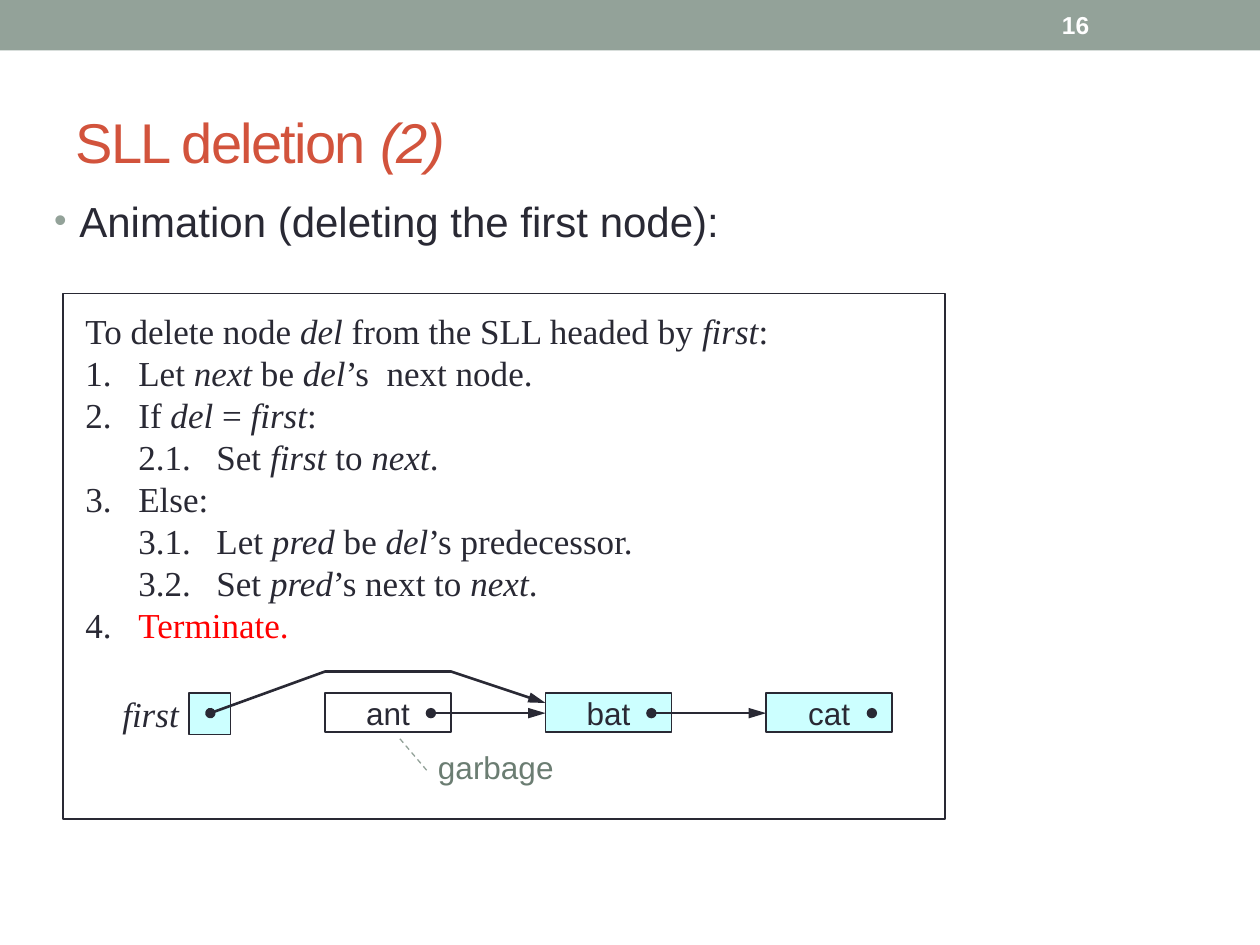
"""Build the slide on deleting the first node of a singly linked list."""
from lxml import etree
from pptx import Presentation
from pptx.dml.color import RGBColor
from pptx.enum.dml import MSO_LINE
from pptx.enum.shapes import MSO_CONNECTOR, MSO_SHAPE
from pptx.enum.text import MSO_ANCHOR, MSO_AUTO_SIZE, PP_ALIGN
from pptx.oxml.ns import qn
from pptx.util import Inches, Pt

RECT = MSO_SHAPE.RECTANGLE
CALLOUT = MSO_SHAPE.LINE_CALLOUT_1_NO_BORDER
STRAIGHT = MSO_CONNECTOR.STRAIGHT
DASH = MSO_LINE.DASH
LEFT, CENTER, RIGHT = PP_ALIGN.LEFT, PP_ALIGN.CENTER, PP_ALIGN.RIGHT
TOP, MIDDLE = MSO_ANCHOR.TOP, MSO_ANCHOR.MIDDLE
SANS, SERIF = "Arial", "Times New Roman"
COLORS = {
    "sage": "93A299",
    "moss": "6B7D72",
    "ink": "292934",
    "white": "FFFFFF",
    "cyan": "CCFFFF",
    "rust": "D2533C",
    "red": "FF0000",
}
ALGORITHM = (
    "To delete node *del* from the SLL headed by *first*:",
    "1.\tLet *next* be *del*’s  next node.",
    "2.\tIf *del* = *first*:",
    "\t2.1.\tSet *first* to *next*.",
    "3.\tElse:",
    "\t3.1.\tLet *pred* be *del*’s predecessor.",
    "\t3.2.\tSet *pred*’s next to *next*.",
    "4.\t",
)
NODE_LEFT, NODE_STEP, NODE_TOP = 2.58, 1.75, 5.5
LINK_Y = 5.66


def rgb(name):
    """Return the named colour."""
    return RGBColor.from_string(COLORS[name])


def place(shape, left, top, width, height):
    """Move and size a shape, in inches."""
    shape.left, shape.top = Inches(left), Inches(top)
    shape.width, shape.height = Inches(width), Inches(height)


def add_runs(paragraph, text, size, font=SANS, color="ink", bold=False, spacing=None):
    """Add text to a paragraph, with the parts between asterisks in italics."""
    for index, part in enumerate(text.split("*")):
        if not part:
            continue
        run = paragraph.add_run()
        run.text = part
        run.font.size, run.font.name = Pt(size), font
        run.font.color.rgb = rgb(color)
        run.font.bold, run.font.italic = bold, index % 2 == 1
        if spacing is not None:
            run.font._element.set("spc", str(round(spacing * 100)))


def write(shape, text, *, align=LEFT, anchor=TOP, inset=(0.1, 0.05), wrap=True,
          line_spacing=None, **run_format):
    """Fill a shape with one formatted paragraph and return the paragraph."""
    frame = shape.text_frame
    frame.auto_size, frame.word_wrap = MSO_AUTO_SIZE.NONE, wrap
    frame.vertical_anchor = anchor
    frame.margin_left = frame.margin_right = Inches(inset[0])
    frame.margin_top = frame.margin_bottom = Inches(inset[1])
    paragraph = frame.paragraphs[0]
    paragraph.alignment, paragraph.space_before = align, Pt(0)
    if line_spacing:
        paragraph.line_spacing = Pt(line_spacing)
    for index, line in enumerate(text.split("\n")):
        if index:
            paragraph.add_line_break()
        add_runs(paragraph, line, **run_format)
    return paragraph


def add_text(slide, bounds, text, **text_format):
    """Add a text box and return its paragraph."""
    box = slide.shapes.add_textbox(*map(Inches, bounds))
    return write(box, text, **text_format)


def add_box(slide, bounds, fill=None, line="ink", kind=RECT):
    """Add a flat shape with an optional fill and outline."""
    box = slide.shapes.add_shape(kind, *map(Inches, bounds))
    box.shadow.inherit = False
    if fill:
        box.fill.solid()
        box.fill.fore_color.rgb = rgb(fill)
    else:
        box.fill.background()
    if line:
        box.line.color.rgb = rgb(line)
        box.line.width = Pt(0.75)
    else:
        box.line.fill.background()
    return box


def style_link(link, arrow=True):
    """Give a link its line, its round start and its arrowhead."""
    link.line.color.rgb, link.line.width = rgb("ink"), Pt(1.5)
    outline = link.line._get_or_add_ln()
    etree.SubElement(outline, qn("a:headEnd"), type="oval")
    if arrow:
        etree.SubElement(outline, qn("a:tailEnd"), type="triangle", len="lg")


def add_link(slide, start, end, arrow=True):
    """Add a horizontal link between nodes."""
    link = slide.shapes.add_connector(
        STRAIGHT, Inches(start), Inches(LINK_Y), Inches(end), Inches(LINK_Y))
    style_link(link, arrow)
    etree.SubElement(link._element.spPr, qn("a:effectLst"))


def add_bent_link(slide, points):
    """Add a link that runs through several points."""
    start, *rest = [(Inches(x), Inches(y)) for x, y in points]
    builder = slide.shapes.build_freeform(*start)
    builder.add_line_segments(rest, close=False)
    link = builder.convert_to_shape()
    link.shadow.inherit = False
    link.fill.background()
    style_link(link)


def set_bullet(paragraph):
    """Give a paragraph a hanging round bullet."""
    properties = paragraph._p.get_or_add_pPr()
    indent = Inches(0.2)
    properties.set("marL", str(indent))
    properties.set("indent", str(-indent))
    color = etree.SubElement(properties, qn("a:buClr"))
    etree.SubElement(color, qn("a:srgbClr"), val=COLORS["sage"])
    etree.SubElement(properties, qn("a:buSzPct"), val="85000")
    etree.SubElement(properties, qn("a:buFont"), typeface=SANS)
    etree.SubElement(properties, qn("a:buChar"), char="•")


def set_tabs(paragraph, stops):
    """Set left tab stops, in inches."""
    tabs = etree.SubElement(paragraph._p.get_or_add_pPr(), qn("a:tabLst"))
    for stop in stops:
        etree.SubElement(tabs, qn("a:tab"), pos=str(Inches(stop)), algn="l")


def add_headings(slide):
    """Add the top band, page number, title and opening bullet."""
    add_box(slide, (0, 0, 10, 0.4), fill="sage", line=None)
    add_text(slide, (8.33, 0.02, 1.17, 0.36), "16", anchor=MIDDLE, size=14,
             color="white", bold=True)
    title, body = slide.shapes.title, slide.placeholders[1]
    place(title, 0.5, 0.58, 9, 1.08)
    write(title, "SLL deletion *(2)*", anchor=MIDDLE, size=32, color="rust", spacing=-1)
    place(body, 0.33, 1.5, 8.33, 5.25)
    set_bullet(write(body, "Animation (deleting the first node):", size=24))


def add_algorithm(slide):
    """Add the framed algorithm with its current step in red."""
    add_box(slide, (0.5, 2.33, 7, 4.17), fill="white")
    steps = add_text(slide, (0.58, 2.41, 6.83, 2.77), "\n".join(ALGORITHM),
                     line_spacing=24, size=20, font=SERIF)
    set_tabs(steps, (0.42, 1.04))
    add_runs(steps, "Terminate.", size=20, font=SERIF, color="red")


def add_list_diagram(slide):
    """Add the linked list after its first node is bypassed."""
    label = {"inset": (0, 0), "wrap": False, "align": CENTER, "size": 18}
    add_box(slide, (1.5, NODE_TOP, 0.33, 0.33), fill="cyan")
    add_text(slide, (0.75, NODE_TOP, 0.67, 0.33), "*first*", inset=(0, 0),
             align=RIGHT, size=20, font=SERIF)
    lefts = [NODE_LEFT + NODE_STEP * index for index in range(3)]
    for left, word, fill in zip(lefts, ("ant", "bat", "cat"), ("white", "cyan", "cyan")):
        node = add_box(slide, (left, NODE_TOP, 1, 0.31), fill=fill)
        write(node, word, anchor=MIDDLE, **label)
    for left, following in zip(lefts, lefts[1:]):
        add_link(slide, left + 0.84, following)
    add_link(slide, lefts[-1] + 0.84, lefts[-1] + 0.88, arrow=False)
    add_bent_link(slide, [(1.67, LINK_Y), (lefts[0], 5.33),
                          (lefts[0] + 1, 5.33), (lefts[1], 5.58)])
    garbage = add_box(slide, (3.47, 5.99, 0.93, 0.28), line="sage", kind=CALLOUT)
    garbage.line.dash_style = DASH
    for index, value in enumerate((0.44, -0.09, -0.5, -0.33)):
        garbage.adjustments[index] = value
    write(garbage, "garbage", line_spacing=18, color="moss", **label)


def main():
    """Build and save the slide."""
    deck = Presentation()
    deck.slide_width, deck.slide_height = Inches(10), Inches(7.5)
    slide = deck.slides.add_slide(deck.slide_layouts[1])
    add_headings(slide)
    add_algorithm(slide)
    add_list_diagram(slide)
    deck.save("out.pptx")


if __name__ == "__main__":
    main()
